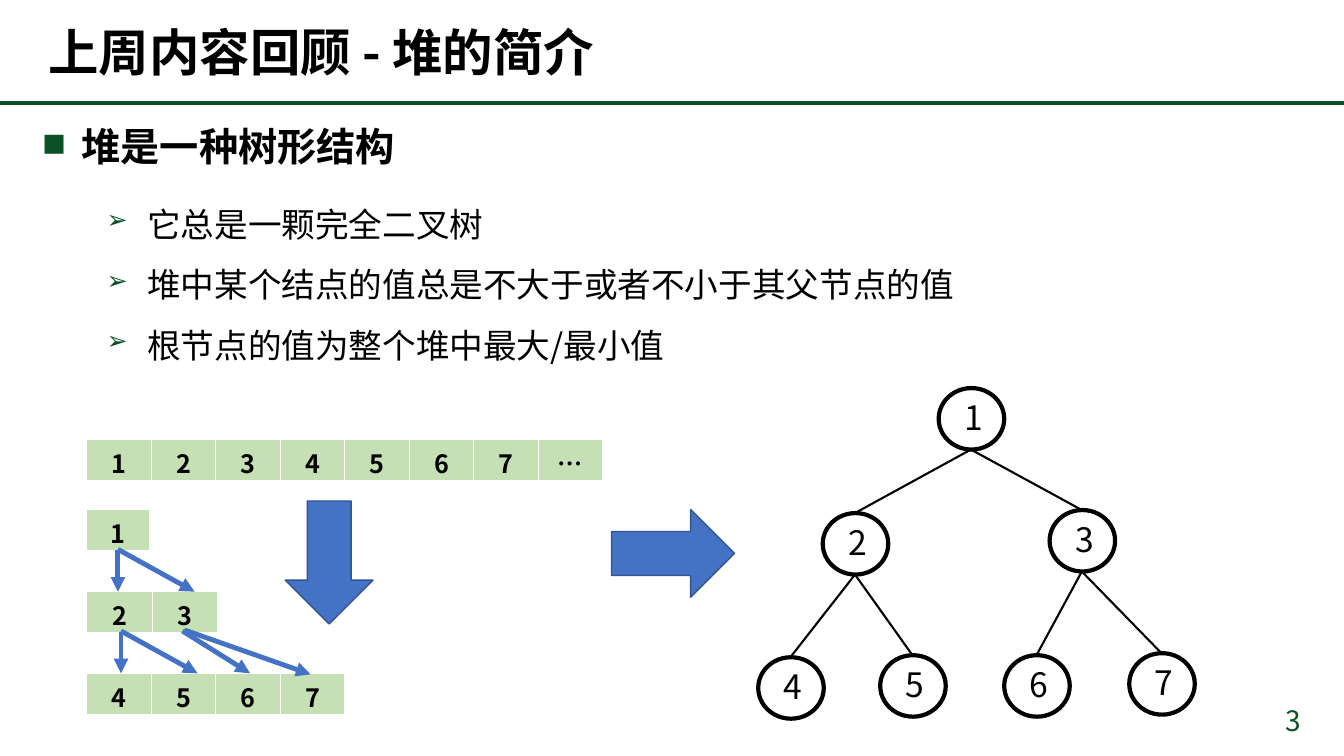
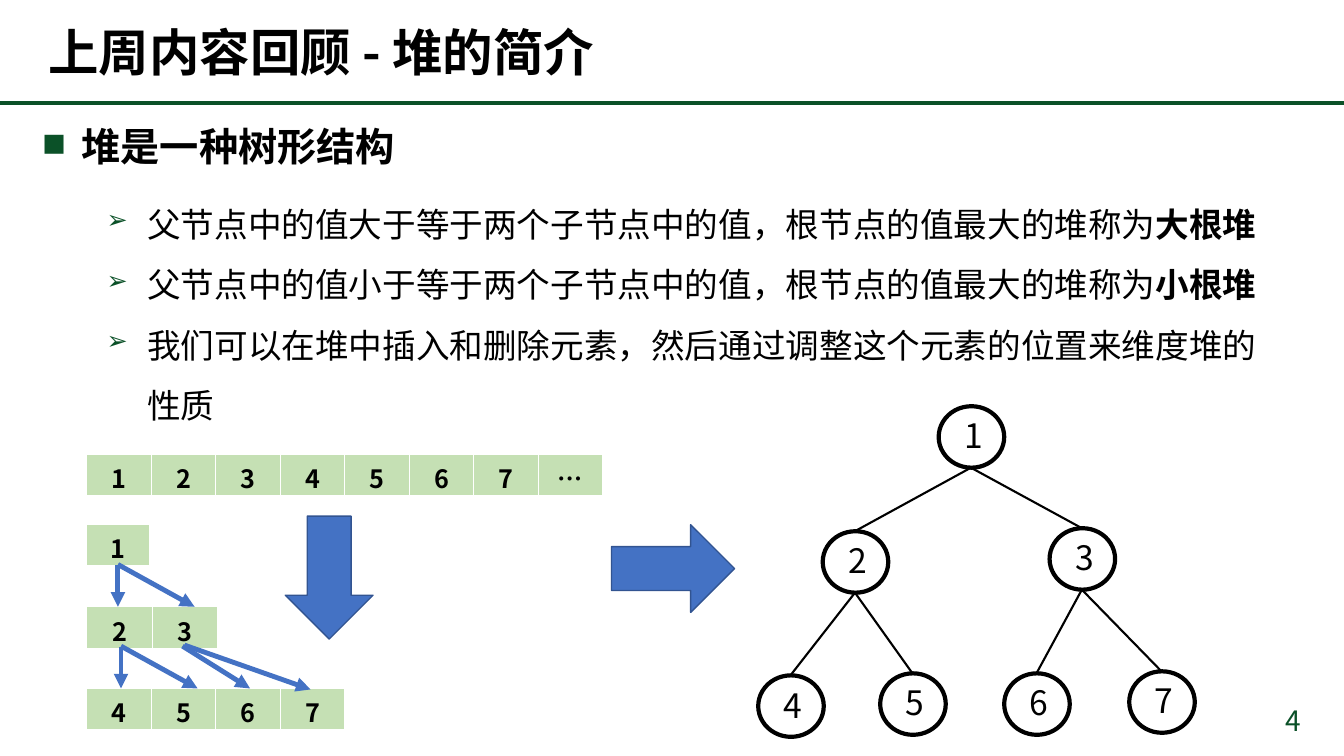
from dataclasses import dataclass

from lxml import etree
from pptx import Presentation
from pptx import util as u
from pptx.dml.color import RGBColor
from pptx.enum import shapes, text
from pptx.oxml.ns import qn

PX = 9144  # EMU per px, 100 px to the inch
WIDTH, HEIGHT = 1333, 750
TWO_CONTENT = 3
NODE_WIDTH, NODE_HEIGHT = 65, 61


@dataclass(frozen=True)
class Theme:
    green: str = "0B5128"
    cell: str = "C5E0B4"
    blue: str = "4472C4"
    blue_edge: str = "325491"
    ink: str = "000000"
    font: str = "Noto Sans CJK SC"
    mono: str = "Courier New"
    title: int = 36
    heading: int = 28
    body: int = 24
    number: int = 20
    small: int = 18


def px(*lengths):
    return [u.Emu(length * PX) for length in lengths]


def put(target, **values):
    for name, value in values.items():
        setattr(target, name, value)


def add_xml(parent, tag, **attributes):
    return etree.SubElement(parent, qn(tag), attributes)


class Deck:
    def __init__(self, theme):
        self.theme = theme
        self.file = Presentation()
        put(self.file, slide_width=u.Emu(WIDTH * PX), slide_height=u.Emu(HEIGHT * PX))
        self.layout = self.file.slide_layouts[TWO_CONTENT]
        places = {0: (38, 0, 1117, 102), 1: (32, 116, 1225, 57), 2: (97, 177, 1187, 185)}
        for box in self.layout.placeholders:
            if box.placeholder_format.idx in places:
                self.place(box, *places[box.placeholder_format.idx])
        self.page = self.canvas = None

    def place(self, box, *frame):
        put(box, **dict(zip(("left", "top", "width", "height"), px(*frame))))

    def new_page(self, title, heading, points, number):
        self.page = self.file.slides.add_slide(self.layout)
        self.canvas = self.page.shapes
        if len(self.file.slides) == 1:
            rule = self.line(0, 102, WIDTH, 102, self.theme.green, 3)
            self.layout.shapes.element.append(rule.element)
        self.fill_title(title)
        self.bullets(1, [[heading]], "■", self.theme.heading, self.theme.mono, bold=True)
        self.bullets(2, points, "➢", self.theme.body, self.theme.font, spacing=1.5)
        self.page_number(number)

    def span(self, para, words, size, color=None, bold=False, font=None):
        span = para.add_run()
        span.text = words
        put(span.font, size=u.Pt(size), bold=bold, name=font or self.theme.font)
        span.font.color.rgb = RGBColor.from_string(color or self.theme.ink)
        east_asian = add_xml(span.font._element, "a:ea", typeface=self.theme.font)
        span.font._element.find(qn("a:latin")).addnext(east_asian)

    def fill_title(self, words):
        frame = self.page.shapes.title.text_frame
        put(frame, vertical_anchor=text.MSO_ANCHOR.MIDDLE, auto_size=text.MSO_AUTO_SIZE.NONE)
        para = frame.paragraphs[0]
        para.alignment = text.PP_ALIGN.LEFT
        self.span(para, words, self.theme.title, bold=True)

    def bullets(self, index, items, mark, size, font, bold=False, spacing=1.0):
        """Fill a body placeholder; every second span of an item is emphasised."""
        frame = self.page.placeholders[index].text_frame
        anchor = text.MSO_ANCHOR.MIDDLE if bold else text.MSO_ANCHOR.TOP
        put(frame, vertical_anchor=anchor, auto_size=text.MSO_AUTO_SIZE.NONE)
        for row, item in enumerate(items):
            para = frame.add_paragraph() if row else frame.paragraphs[0]
            put(para, line_spacing=spacing, space_before=u.Pt(0))
            for place, words in enumerate(item):
                self.span(para, words, size, bold=bold or place % 2 == 1, font=font)
            style = para._p.get_or_add_pPr()
            style.set("marL", str(39 * PX))
            style.set("indent", str(-39 * PX))
            add_xml(add_xml(style, "a:buClr"), "a:srgbClr", val=self.theme.green)
            add_xml(style, "a:buFont", typeface=self.theme.mono)
            add_xml(style, "a:buChar", char=mark)

    def page_number(self, number):
        frame = self.canvas.add_textbox(*px(1000, 693, 300, 40)).text_frame
        frame.word_wrap = True
        para = frame.paragraphs[0]
        para.alignment = text.PP_ALIGN.RIGHT
        self.span(para, str(number), self.theme.number, self.theme.green)

    def line(self, x1, y1, x2, y2, color, weight, arrow=False):
        line = self.canvas.add_connector(shapes.MSO_CONNECTOR.STRAIGHT, *px(x1, y1, x2, y2))
        line.line.width = u.Pt(weight)
        line.line.color.rgb = RGBColor.from_string(color)
        if arrow:
            add_xml(line.line._get_or_add_ln(), "a:tailEnd", type="triangle")
        add_xml(line.element.spPr, "a:effectLst")
        return line

    def shape(self, kind, frame, edge, weight, fill=None):
        shape = self.canvas.add_shape(kind, *px(*frame))
        shape.shadow.inherit = False
        if fill:
            shape.fill.solid()
            shape.fill.fore_color.rgb = RGBColor.from_string(fill)
        else:
            shape.fill.background()
        shape.line.width = u.Pt(weight)
        shape.line.color.rgb = RGBColor.from_string(edge)
        return shape

    def block_arrow(self, left, top, rotation=0):
        arrow = self.shape(shapes.MSO_SHAPE.DOWN_ARROW, (left, top, 87, 122),
                           self.theme.blue_edge, 1, self.theme.blue)
        arrow.rotation = rotation

    def node(self, left, top, label):
        node = self.shape(shapes.MSO_SHAPE.OVAL, (left, top, NODE_WIDTH, NODE_HEIGHT),
                          self.theme.ink, 3)
        frame = node.text_frame
        put(frame, margin_left=u.Emu(4 * PX), margin_right=0, margin_top=0,
            margin_bottom=u.Emu(3 * PX), word_wrap=False,
            vertical_anchor=text.MSO_ANCHOR.MIDDLE)
        frame.paragraphs[0].alignment = text.PP_ALIGN.CENTER
        self.span(frame.paragraphs[0], str(label), self.theme.body)

    def array(self, top, values, cell_width):
        frame = px(86, top, cell_width * len(values), 41)
        table = self.canvas.add_table(1, len(values), *frame).table
        table.horz_banding = False
        for cell, value in zip(table.iter_cells(), values):
            cell.fill.solid()
            cell.fill.fore_color.rgb = RGBColor.from_string(self.theme.cell)
            para = cell.text_frame.paragraphs[0]
            para.alignment = text.PP_ALIGN.CENTER
            self.span(para, value, self.theme.small, bold=True)

    def array_levels(self, shift):
        """Draw the array, then the same values split into tree levels."""
        for top, values, cell_width in ((436, "1234567…", 64), (505, "1", 62),
                                        (587, "23", 65), (668, "4567", 64)):
            self.array(top + shift, values, cell_width)
        for x1, y1, x2, y2 in ((117, 546, 117, 587), (117, 545, 193, 587),
                               (120, 627, 120, 668), (120, 626, 196, 668),
                               (181, 626, 248, 668), (183, 625, 308, 669)):
            self.line(x1, y1 + shift, x2, y2 + shift, self.theme.blue, 3.5, arrow=True)
        self.block_arrow(283, 497 + shift)
        self.block_arrow(624, 488 + shift, 270)

    def heap_tree(self, shift):
        """Draw the nodes in heap order: the parent of node n is n // 2."""
        spots = ((931, 385), (816, 509), (1041, 506), (752, 652),
                 (873, 650), (996, 650), (1120, 648))
        middle = NODE_WIDTH // 2
        self.canvas = self.page.shapes.add_group_shape().shapes
        for label, (left, top) in enumerate(spots, 1):
            self.node(left, top + shift, label)
            if label > 1:
                parent_left, parent_top = spots[label // 2 - 1]
                self.line(parent_left + middle, parent_top + NODE_HEIGHT + shift,
                          left + middle, top + shift, self.theme.ink, 1.5)
        self.canvas = self.page.shapes


def main():
    deck = Deck(Theme())
    facts = [["它总是一颗完全二叉树"],
             ["堆中某个结点的值总是不大于或者不小于其父节点的值"],
             ["根节点的值为整个堆中最大/最小值"]]
    kinds = [["父节点中的值大于等于两个子节点中的值，根节点的值最大的堆称为", "大根堆"],
             ["父节点中的值小于等于两个子节点中的值，根节点的值最大的堆称为", "小根堆"],
             ["我们可以在堆中插入和删除元素，然后通过调整这个元素的位置来维度堆的性质"]]
    pages = ((facts, 0, 0), (kinds, 15, 18))
    for number, (points, array_shift, tree_shift) in enumerate(pages, 3):
        deck.new_page("上周内容回顾 - 堆的简介", "堆是一种树形结构", points, number)
        deck.array_levels(array_shift)
        deck.heap_tree(tree_shift)
    deck.place(deck.page.placeholders[2], 97, 177, 1187, 306)
    deck.file.save("out.pptx")


if __name__ == "__main__":
    main()
